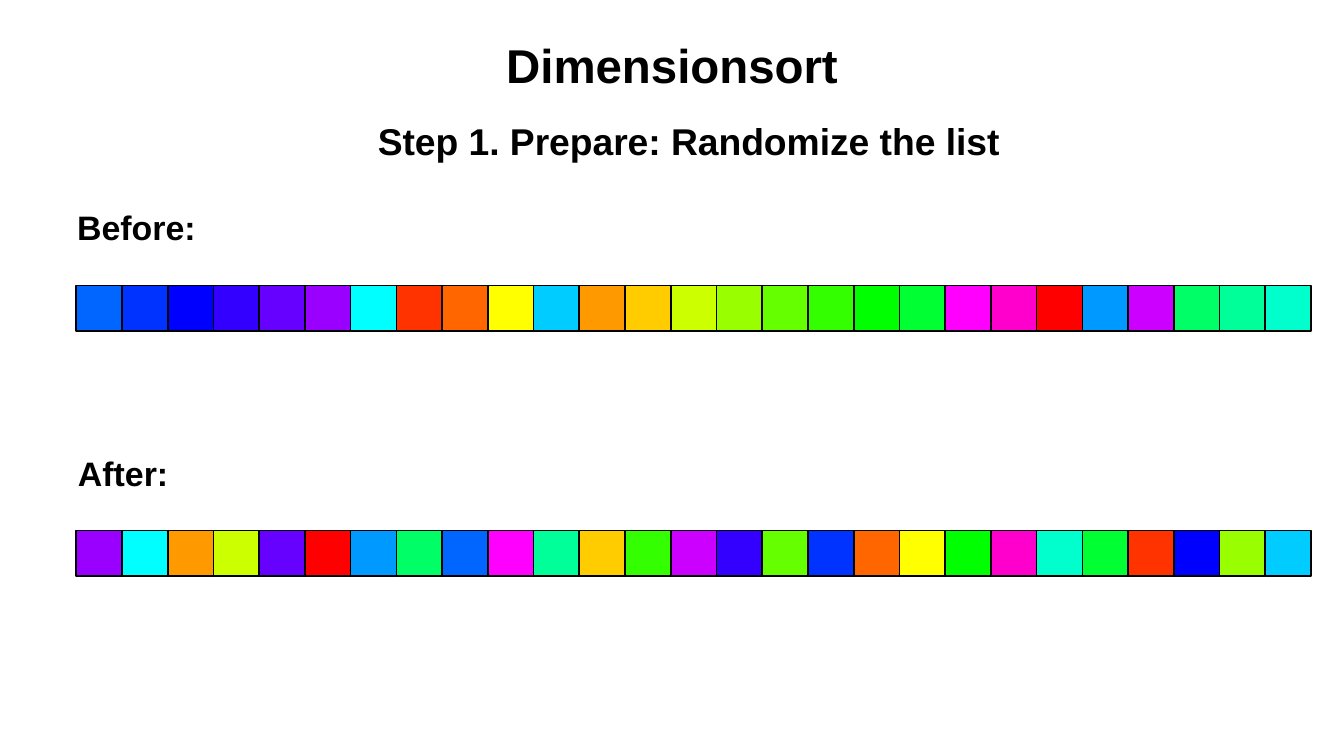
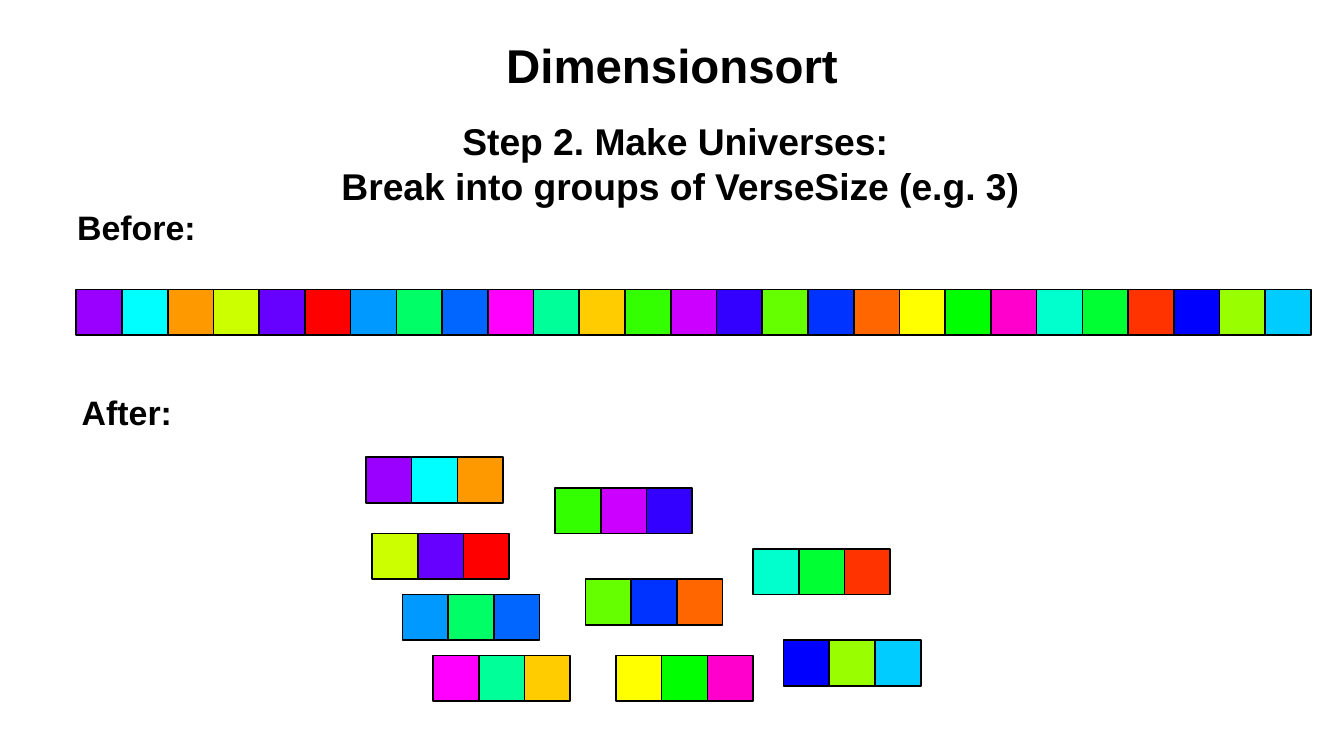
from pptx import Presentation
from pptx.dml.color import RGBColor
from pptx.enum import shapes, text
from pptx.util import Pt

BLACK = RGBColor(0x00, 0x00, 0x00)
WHITE = RGBColor(0xFF, 0xFF, 0xFF)
CENTER, LEFT = text.PP_ALIGN.CENTER, text.PP_ALIGN.LEFT
MIDDLE, TOP = text.MSO_ANCHOR.MIDDLE, text.MSO_ANCHOR.TOP


def colours(codes):
    return [RGBColor.from_string(code) for code in codes.split()]


INITIAL = colours(
    "0066FF 0033FF 0000FF 3300FF 6600FF 9900FF 00FFFF FF3300 FF6600 "
    "FFFF00 00CCFF FF9900 FFCC00 CCFF00 99FF00 66FF00 33FF00 00FF00 "
    "00FF33 FF00FF FF00CC FF0000 0099FF CC00FF 00FF66 00FF99 00FFCC")
SHUFFLED = colours(
    "9900FF 00FFFF FF9900 CCFF00 6600FF FF0000 0099FF 00FF66 0066FF "
    "FF00FF 00FF99 FFCC00 33FF00 CC00FF 3300FF 66FF00 0033FF FF6600 "
    "FFFF00 00FF00 FF00CC 00FFCC 00FF33 FF3300 0000FF 99FF00 00CCFF")

CELL = 27
LIST_LEFT = 45
VERSE_SIZE = 3
# Left and top of each universe, in list order
UNIVERSES = [(216, 270), (219.6, 315), (237.6, 351), (255.6, 387),
             (327.6, 288), (345.6, 342), (363.6, 387),
             (444.6, 324), (462.6, 378)]


class Deck:
    FONT = "Arial"

    def __init__(self):
        self.deck = Presentation()
        self.deck.slide_width, self.deck.slide_height = Pt(793.44), Pt(446.4)
        self.page = None

    def new_page(self):
        self.page = self.deck.slides.add_slide(self.deck.slide_layouts[6])
        self.page.background.fill.solid()
        self.page.background.fill.fore_color.rgb = WHITE
        self.add_text("Dimensionsort", 39.6, 0.7, 714.2, 74.9, 28)

    def add_text(self, words, left, top, width, height, size,
                 align=CENTER, anchor=MIDDLE, inset=(0, 0)):
        """Add bold text; inset is the (side, top and bottom) margin."""
        box = self.page.shapes.add_textbox(
            Pt(left), Pt(top), Pt(width), Pt(height))
        frame = box.text_frame
        frame.word_wrap = True
        frame.vertical_anchor = anchor
        frame.margin_left = frame.margin_right = Pt(inset[0])
        frame.margin_top = frame.margin_bottom = Pt(inset[1])
        frame.text = words
        for para in frame.paragraphs:
            para.alignment = align
            for span in para.runs:
                span.font.name = self.FONT
                span.font.size = Pt(size)
                span.font.bold = True
                span.font.color.rgb = BLACK

    def step(self, words, left, width, align=CENTER):
        self.add_text(words, left, 66.2, width, 56.2, 22,
                      align, TOP, (7.2, 3.6))

    def label(self, words, left, top):
        self.add_text(words, left, top, 138.2, 54, 20)

    def cells(self, fills, left, top):
        """Draw a grouped row of touching squares, one per fill."""
        group = self.page.shapes.add_group_shape()
        for index, fill in enumerate(fills):
            cell = group.shapes.add_shape(
                shapes.MSO_SHAPE.RECTANGLE, Pt(left + index * CELL), Pt(top),
                Pt(CELL), Pt(CELL))
            cell.shadow.inherit = False
            cell.fill.solid()
            cell.fill.fore_color.rgb = fill
            cell.line.color.rgb = BLACK
            cell.line.width = Pt(1)


def randomize_page(deck):
    deck.new_page()
    deck.label("Before:", 11.5, 107.3)
    deck.label("After:", 3.6, 252)
    deck.step("Step 1. Prepare: Randomize the list", 216, 407.5, LEFT)
    deck.cells(SHUFFLED, LIST_LEFT, 313.2)
    deck.cells(INITIAL, LIST_LEFT, 168.5)


def universes_page(deck):
    deck.new_page()
    deck.label("Before:", 11.5, 107.3)
    deck.label("After:", 5.8, 216)
    deck.step("Step 2. Make Universes: \n"
              "Break into groups of VerseSize (e.g. 3)", 187.2, 429.1)
    deck.cells(SHUFFLED, LIST_LEFT, 171)
    for index, (left, top) in enumerate(UNIVERSES):
        start = index * VERSE_SIZE
        deck.cells(SHUFFLED[start:start + VERSE_SIZE], left, top)


def main():
    deck = Deck()
    randomize_page(deck)
    universes_page(deck)
    deck.deck.save("out.pptx")


if __name__ == "__main__":
    main()
